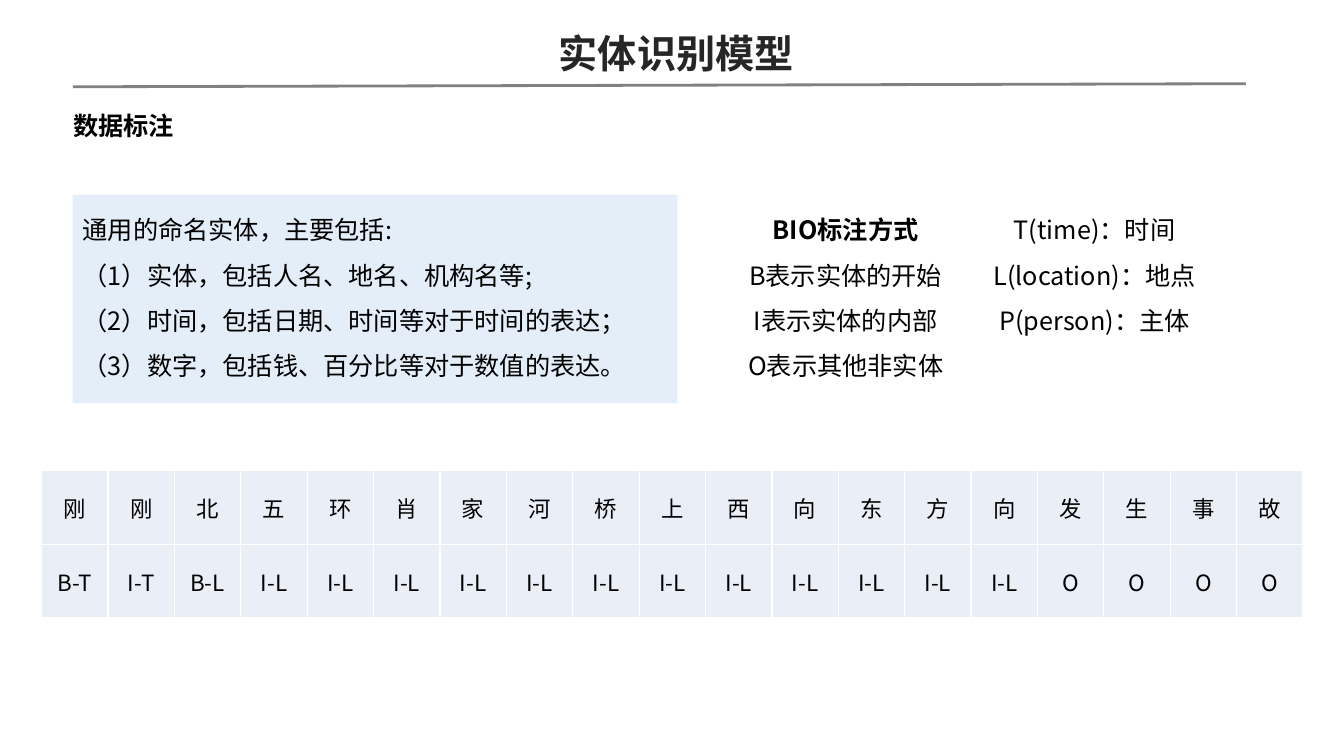
from dataclasses import dataclass

from lxml.etree import SubElement
from pptx import Presentation
from pptx.dml.color import RGBColor
from pptx.enum.shapes import MSO_CONNECTOR as Connector, MSO_SHAPE as Preset
from pptx.enum.text import MSO_ANCHOR as Anchor, MSO_AUTO_SIZE as AutoSize, PP_ALIGN as Align
from pptx.oxml.ns import qn
from pptx.slide import Slide
from pptx.table import _Cell as Cell
from pptx.text.text import TextFrame
from pptx.util import Pt

COLORS = {
    "background": "FFFFFF",
    "title": "262626",
    "text": "000000",
    "rule": "808080",
    "definition": "DEEBF7",
    "cell": "EAEFF7",
}
FONT = "Noto Sans CJK SC"
SENTENCE = "刚刚北五环肖家河桥上西向东方向发生事故"
TAGS = ["B-T", "I-T", "B-L"] + ["I-L"] * 12 + ["O"] * 4
COLUMN_WIDTH = 47.44
ROW_HEIGHT = 52.5


@dataclass(frozen=True)
class TextBlock:
    left: float
    top: float
    width: float
    height: float
    lines: tuple[str, ...]
    bold_lines: int = 0
    align: Align = Align.CENTER
    anchor: Anchor = Anchor.TOP
    spacing: float = 1.5
    fill: str = ""
    opacity: int = 100


BLOCKS = (
    TextBlock(52, 139, 432, 149, (
        "通用的命名实体，主要包括:",
        "（1）实体，包括人名、地名、机构名等;",
        "（2）时间，包括日期、时间等对于时间的表达；",
        "（3）数字，包括钱、百分比等对于数值的表达。",
    ), align=Align.LEFT, fill="definition", opacity=81),
    TextBlock(499.7, 139, 208.8, 138, (
        "BIO标注方式",
        "B表示实体的开始",
        "I表示实体的内部",
        "O表示其他非实体",
    ), bold_lines=1),
    TextBlock(677.5, 139, 208.8, 101.5, (
        "T(time)：时间",
        "L(location)：地点",
        "P(person)：主体",
    )),
    TextBlock(26, 74, 124.5, 31, ("数据标注",), bold_lines=1,
              anchor=Anchor.MIDDLE, spacing=1, fill="background"),
)


def color(name: str) -> RGBColor:
    return RGBColor.from_string(COLORS[name])


def apply(target: object, values: dict[str, object]) -> None:
    for attribute, value in values.items():
        setattr(target, attribute, value)


def write_lines(frame: TextFrame, lines: tuple[str, ...], size: float, align: Align,
                bold_lines: int = 0, spacing: float = 1, ink: str = "text") -> None:
    for index, line in enumerate(lines):
        paragraph = frame.paragraphs[0] if index == 0 else frame.add_paragraph()
        apply(paragraph, {"alignment": align, "line_spacing": spacing})
        run = paragraph.add_run()
        run.text = line
        apply(run.font, {"name": FONT, "size": Pt(size), "bold": index < bold_lines})
        run.font.color.rgb = color(ink)
        SubElement(run.font._element, qn("a:ea"), typeface=FONT)


def add_title(slide: Slide) -> None:
    title = slide.shapes.title
    apply(title, {"left": Pt(3), "top": Pt(17.3), "width": Pt(960), "height": Pt(41)})
    apply(title.text_frame, {"vertical_anchor": Anchor.TOP, "word_wrap": True,
                             "auto_size": AutoSize.NONE})
    write_lines(title.text_frame, ("实体识别模型",), 28, Align.CENTER, 1, ink="title")


def add_rule(slide: Slide) -> None:
    rule = slide.shapes.add_connector(Connector.STRAIGHT, Pt(52), Pt(62), Pt(890), Pt(59.8))
    rule.line.color.rgb = color("rule")
    rule.line.width = Pt(2)
    SubElement(rule._element.spPr, qn("a:effectLst"))


def add_block(slide: Slide, block: TextBlock) -> None:
    bounds = [Pt(length) for length in (block.left, block.top, block.width, block.height)]
    if block.fill:
        shape = slide.shapes.add_shape(Preset.RECTANGLE, *bounds)
        shape.shadow.inherit = False
        shape.line.fill.background()
        shape.fill.solid()
        shape.fill.fore_color.rgb = color(block.fill)
        if block.opacity < 100:
            tint = shape._element.spPr.find(f"{qn('a:solidFill')}/{qn('a:srgbClr')}")
            SubElement(tint, qn("a:alpha"), val=str(block.opacity * 1000))
    else:
        shape = slide.shapes.add_textbox(*bounds)
    apply(shape.text_frame, {"word_wrap": True, "vertical_anchor": block.anchor})
    write_lines(shape.text_frame, block.lines, 18, block.align, block.bold_lines, block.spacing)


def add_borders(cell: Cell) -> None:
    properties = cell._tc.get_or_add_tcPr()
    for index, side in enumerate(("lnL", "lnR", "lnT", "lnB")):
        border = properties.makeelement(qn(f"a:{side}"), {"w": str(Pt(1))})
        solid = SubElement(border, qn("a:solidFill"))
        SubElement(solid, qn("a:srgbClr"), val=COLORS["background"])
        properties.insert(index, border)


def add_tag_table(slide: Slide) -> None:
    rows = (SENTENCE, TAGS)
    table = slide.shapes.add_table(
        len(rows), len(TAGS), Pt(29.7), Pt(336.3),
        Pt(COLUMN_WIDTH * len(TAGS)), Pt(ROW_HEIGHT * len(rows))).table
    apply(table, {"first_row": False, "horz_banding": False})
    for column in table.columns:
        column.width = Pt(COLUMN_WIDTH)
    for row_index, row in enumerate(rows):
        table.rows[row_index].height = Pt(ROW_HEIGHT)
        for column_index, label in enumerate(row):
            cell = table.cell(row_index, column_index)
            apply(cell, {"margin_left": Pt(0.7), "margin_right": Pt(0.7), "margin_top": Pt(0.7),
                         "margin_bottom": Pt(0), "vertical_anchor": Anchor.MIDDLE})
            cell.fill.solid()
            cell.fill.fore_color.rgb = color("cell")
            add_borders(cell)
            write_lines(cell.text_frame, (label,), 16, Align.CENTER)


def main() -> None:
    deck = Presentation()
    apply(deck, {"slide_width": Pt(960), "slide_height": Pt(540)})
    slide = deck.slides.add_slide(deck.slide_layouts[5])
    slide.background.fill.solid()
    slide.background.fill.fore_color.rgb = color("background")
    add_rule(slide)
    add_title(slide)
    add_tag_table(slide)
    for block in BLOCKS:
        add_block(slide, block)
    deck.save("out.pptx")


if __name__ == "__main__":
    main()
